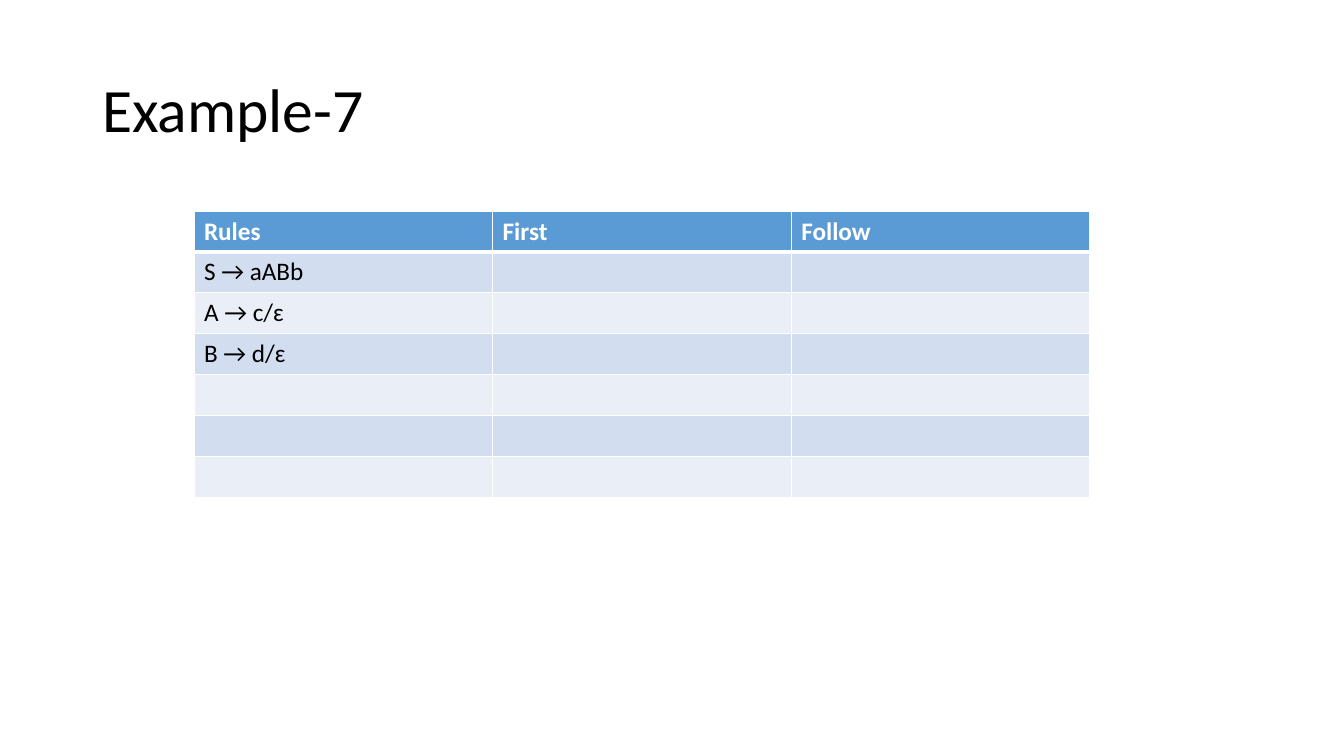
from lxml import etree
from pptx import Presentation, util as u
from pptx.dml.color import RGBColor
from pptx.enum import text
from pptx.oxml import ns

# Content
TITLE = "Example-7"
HEADERS = ("Rules", "First", "Follow")
RULES = ("S → aABb", "A → c/ɛ", "B → d/ɛ", "", "", "")
ROWS = [HEADERS] + [(rule, "", "") for rule in RULES]

# Look
FONT = "Calibri"
BLACK = RGBColor(0x00, 0x00, 0x00)
WHITE = RGBColor(0xFF, 0xFF, 0xFF)
HEADER_BLUE = RGBColor(0x5B, 0x9B, 0xD5)
BANDS = (RGBColor(0xD2, 0xDE, 0xEF), RGBColor(0xEA, 0xEF, 0xF7))

# Layout in px
PAGE_SIZE = (1344, 756)
TITLE_BOX = (92, 40, 1160, 146)
TABLE_BOX = (194, 211, 896, 286)


def px(length):
    return u.Emu(round(length * 914400 / 100.8))


def style(font, size, color, bold=False):
    font.name, font.size, font.bold = FONT, u.Pt(size), bold
    font.color.rgb = color


def add_border(cell, side, points):
    properties = cell._tc.get_or_add_tcPr()
    line = etree.SubElement(properties, ns.qn(f"a:ln{side}"), w=str(u.Pt(points)))
    fill = etree.SubElement(line, ns.qn("a:solidFill"))
    etree.SubElement(fill, ns.qn("a:srgbClr"), val=str(WHITE))


deck = Presentation()
deck.slide_width, deck.slide_height = map(px, PAGE_SIZE)
page = deck.slides.add_slide(deck.slide_layouts[5])

# Title
title = page.shapes.title
title.left, title.top, title.width, title.height = map(px, TITLE_BOX)
title.text_frame.text = TITLE
title.text_frame.vertical_anchor = text.MSO_ANCHOR.MIDDLE
para = title.text_frame.paragraphs[0]
para.alignment = text.PP_ALIGN.LEFT
para.line_spacing = 0.9
style(para.runs[0].font, 44, BLACK)

# Table of rules
table = page.shapes.add_table(len(ROWS), len(HEADERS), *map(px, TABLE_BOX)).table
for row_index, row in enumerate(ROWS):
    is_header = row_index == 0
    for column_index, label in enumerate(row):
        cell = table.cell(row_index, column_index)
        for side in "LRTB":
            thick = (is_header and side == "B") or (row_index == 1 and side == "T")
            add_border(cell, side, 3 if thick else 1)
        cell.fill.solid()
        cell.fill.fore_color.rgb = HEADER_BLUE if is_header else BANDS[(row_index - 1) % 2]
        para = cell.text_frame.paragraphs[0]
        para.text = label
        for span in para.runs:
            style(span.font, 18, WHITE if is_header else BLACK, is_header)

deck.save("out.pptx")
